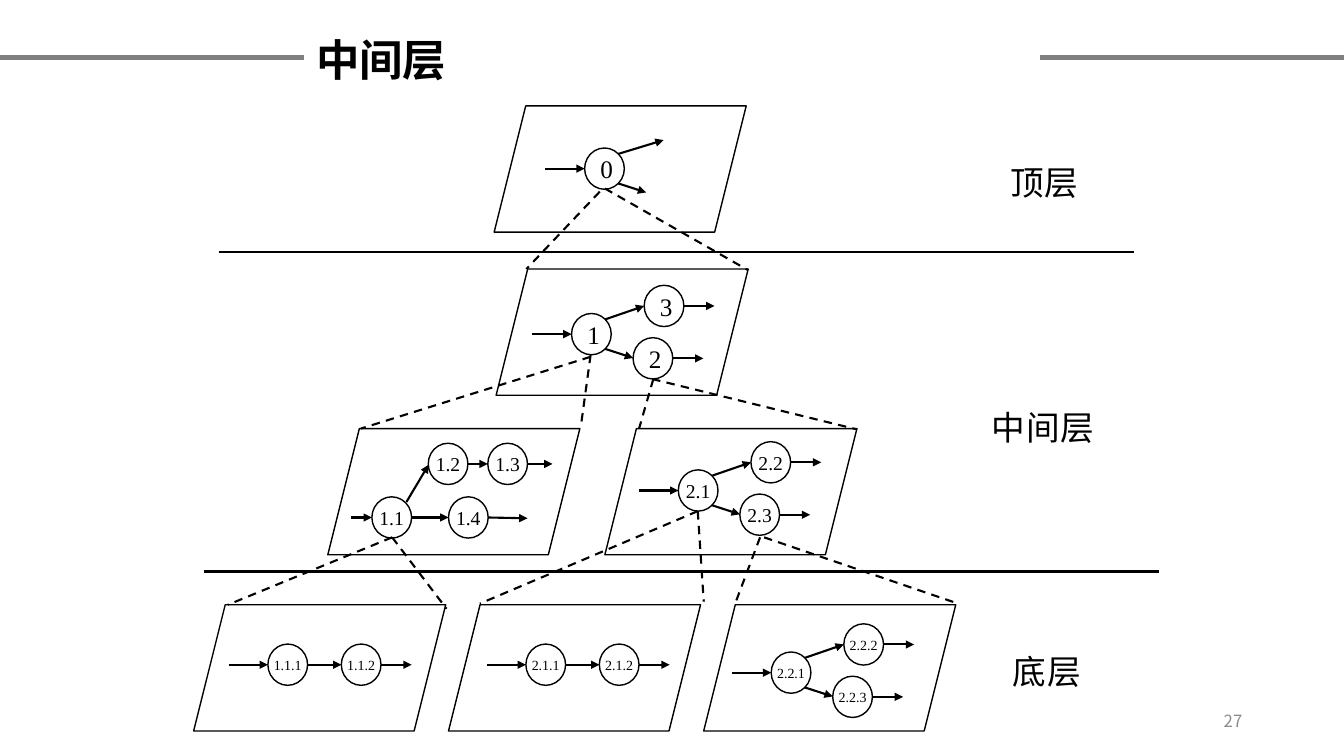
from lxml.etree import SubElement
from pptx import Presentation
from pptx.dml.color import RGBColor
from pptx.enum.dml import MSO_LINE_DASH_STYLE as Dash
from pptx.enum.shapes import MSO_CONNECTOR_TYPE as Connector, MSO_SHAPE as Shape
from pptx.enum.text import MSO_ANCHOR as Anchor, MSO_AUTO_SIZE as AutoSize, PP_ALIGN as Align
from pptx.oxml.ns import qn
from pptx.util import Cm, Pt

BLACK = RGBColor(0x00, 0x00, 0x00)
WHITE = RGBColor(0xFF, 0xFF, 0xFF)
GREY = RGBColor(0x80, 0x80, 0x80)
NUMBER_GREY = RGBColor(0x8C, 0x8C, 0x8C)
CJK_FONT = "Noto Sans CJK SC"

# ---- Content: all lengths in centimetres ----
PANEL_SIZE = (6.35, 3.18)
NODE_SIZE = (1.0, 1.04)

# Node centres and arrows of each flow, measured from the first node's centre
ENTRY = (-1.49, 0, -0.5, 0)
FORK_UP = (0.34, -0.37, 1.33, -0.71)
FORK_DOWN = (0.34, 0.37, 1.05, 0.6)
FLOWS = {
    "context": ([(0, 0)], [ENTRY, (0.34, -0.37, 1.49, -0.72), FORK_DOWN]),
    "fork": (
        [(0, 0), (1.83, -0.71), (1.55, 0.61)],
        [ENTRY, FORK_UP, FORK_DOWN,
         (2.33, -0.71, 3.1, -0.71), (2.05, 0.61, 2.82, 0.61)],
    ),
    "chain": (
        [(0, 0), (1.85, 0)],
        [ENTRY, (0.5, 0, 1.35, 0), (2.35, 0, 3.12, 0)],
    ),
    "two rows": (
        [(0, 0), (1.42, -1.35), (2.92, -1.35), (1.93, 0)],
        [(-1.03, 0, -0.5, 0), (0.37, -0.39, 0.93, -1.33), (0.5, 0, 1.43, 0),
         (1.92, -1.35, 2.42, -1.35), (3.42, -1.35, 4.05, -1.35),
         (2.43, 0, 3.42, 0.02)],
    ),
}

# Panel corner, first node centre, flow, node names, text size
PANELS = [
    ((12.45, 2.67), (15.23, 4.25), "context", ["0"], 18),
    ((12.5, 6.78), (14.9, 8.42), "fork", ["1", "3", "2"], 18),
    ((8.26, 10.8), (9.87, 13.04), "two rows", ["1.1", "1.2", "1.3", "1.4"], 14),
    ((15.24, 10.8), (17.59, 12.36), "fork", ["2.1", "2.2", "2.3"], 14),
    ((4.88, 15.24), (7.25, 16.75), "chain", ["1.1.1", "1.1.2"], 10),
    ((11.3, 15.24), (13.75, 16.75), "chain", ["2.1.1", "2.1.2"], 10),
    ((17.73, 15.24), (19.93, 16.95), "fork", ["2.2.1", "2.2.2", "2.2.3"], 10),
]

# Dashed lines from a node to the panel that expands it
EXPANSIONS = [
    (15.11, 4.83, 13.26, 6.78), (15.24, 4.75, 18.85, 6.81),
    (14.88, 8.99, 9.09, 10.8), (14.88, 8.94, 14.63, 10.77),
    (16.46, 9.55, 16.1, 10.8), (16.43, 9.55, 21.59, 10.82),
    (9.88, 13.54, 5.74, 15.24), (9.88, 13.54, 11.25, 15.34),
    (17.58, 12.88, 12.09, 15.21), (17.58, 12.88, 17.73, 15.16),
    (19.15, 13.54, 18.54, 15.16), (19.25, 13.54, 24.08, 15.19),
]
LEVEL_DIVIDERS = [(5.51, 6.35, 28.58, 6.35), (5.13, 14.4, 29.21, 14.4)]
TITLE_RULES = [(0, 1.45, 7.65, 1.45), (26.21, 1.45, 33.86, 1.45)]

LABEL_FONT = {"size": Pt(24), "name": "Arial"}
LABEL_LAYOUT = {"line_spacing": 1.5}
LEVEL_LABELS = [
    ("顶层", (25.2, 3.45, 2.26, 1.8)),
    ("中间层", (24.74, 9.63, 3.12, 1.8)),
    ("底层", (25.27, 15.77, 2.26, 1.8)),
]
TITLE = ("中间层", (-4.06, 0.03, 27.33, 3.1))
PAGE_NUMBER = ("27", (23.93, 17.65, 7.62, 1.02))


# ---- Drawing helpers ----
def apply(target, values):
    for name, value in values.items():
        setattr(target, name, value)


def write(shape, text, color, font, layout, frame_format):
    frame = shape.text_frame
    apply(frame, frame_format)
    paragraph = frame.paragraphs[0]
    apply(paragraph, layout)
    run = paragraph.add_run()
    run.text = text
    apply(run.font, font)
    run.font.color.rgb = color
    properties = run._r.get_or_add_rPr()
    SubElement(properties, qn("a:ea")).set("typeface", CJK_FONT)
    return properties


def add_text(slide, text, box, color, font, layout, frame_format):
    shape = slide.shapes.add_textbox(*map(Cm, box))
    return write(shape, text, color, font, layout, frame_format)


def add_outline(slide, kind, left, top, size):
    shape = slide.shapes.add_shape(kind, Cm(left), Cm(top), *map(Cm, size))
    shape.shadow.inherit = False
    shape.fill.solid()
    shape.fill.fore_color.rgb = WHITE
    shape.line.color.rgb = BLACK
    shape.line.width = Pt(1)
    return shape


def add_line(slide, ends, color=BLACK, width=1.5, dashed=False, arrow=False):
    connector = slide.shapes.add_connector(Connector.STRAIGHT, *map(Cm, ends))
    connector.line.color.rgb = color
    connector.line.width = Pt(width)
    if dashed:
        connector.line.dash_style = Dash.DASH
    if arrow:
        outline = connector.line._get_or_add_ln()
        SubElement(outline, qn("a:tailEnd")).set("type", "triangle")
    SubElement(connector._element.spPr, qn("a:effectLst"))


def add_panel(slide, corner, origin, flow, names, size):
    add_outline(slide, Shape.PARALLELOGRAM, *corner, PANEL_SIZE)
    x, y = origin
    centres, arrows = FLOWS[flow]
    frame_format = {"vertical_anchor": Anchor.MIDDLE}
    if size < 18:
        for side in ("left", "top", "right", "bottom"):
            frame_format[f"margin_{side}"] = 0
    for name, (dx, dy) in zip(names, centres):
        node = add_outline(slide, Shape.FLOWCHART_CONNECTOR,
                           x + dx - NODE_SIZE[0] / 2, y + dy - NODE_SIZE[1] / 2, NODE_SIZE)
        write(node, name, BLACK, {"size": Pt(size), "name": "Times New Roman"},
              {"alignment": Align.CENTER}, frame_format)
    for x1, y1, x2, y2 in arrows:
        add_line(slide, (x + x1, y + y1, x + x2, y + y2), arrow=True)


def main():
    presentation = Presentation()
    presentation.slide_width = Cm(33.86)
    presentation.slide_height = Cm(19.05)
    slide = presentation.slides.add_slide(presentation.slide_layouts[6])

    # Levelled data flow diagram
    for panel in PANELS:
        add_panel(slide, *panel)
    for ends in EXPANSIONS:
        add_line(slide, ends, dashed=True)
    for ends in LEVEL_DIVIDERS:
        add_line(slide, ends)

    # Level names
    for text, box in LEVEL_LABELS:
        properties = add_text(slide, text, box, BLACK, LABEL_FONT, LABEL_LAYOUT,
                              {"word_wrap": False, "auto_size": AutoSize.SHAPE_TO_FIT_TEXT})
        properties.set("spc", "50")

    # Title, its rules and the page number
    centred_frame = {"word_wrap": True, "vertical_anchor": Anchor.MIDDLE}
    add_text(slide, *TITLE, BLACK, {"size": Pt(31), "name": CJK_FONT, "bold": True},
             {"alignment": Align.CENTER, "line_spacing": 0.9, "space_after": Pt(12)},
             centred_frame)
    for ends in TITLE_RULES:
        add_line(slide, ends, GREY, 3)
    add_text(slide, *PAGE_NUMBER, NUMBER_GREY, {"size": Pt(12), "name": CJK_FONT},
             {"alignment": Align.RIGHT}, centred_frame)

    presentation.save("out.pptx")


if __name__ == "__main__":
    main()
